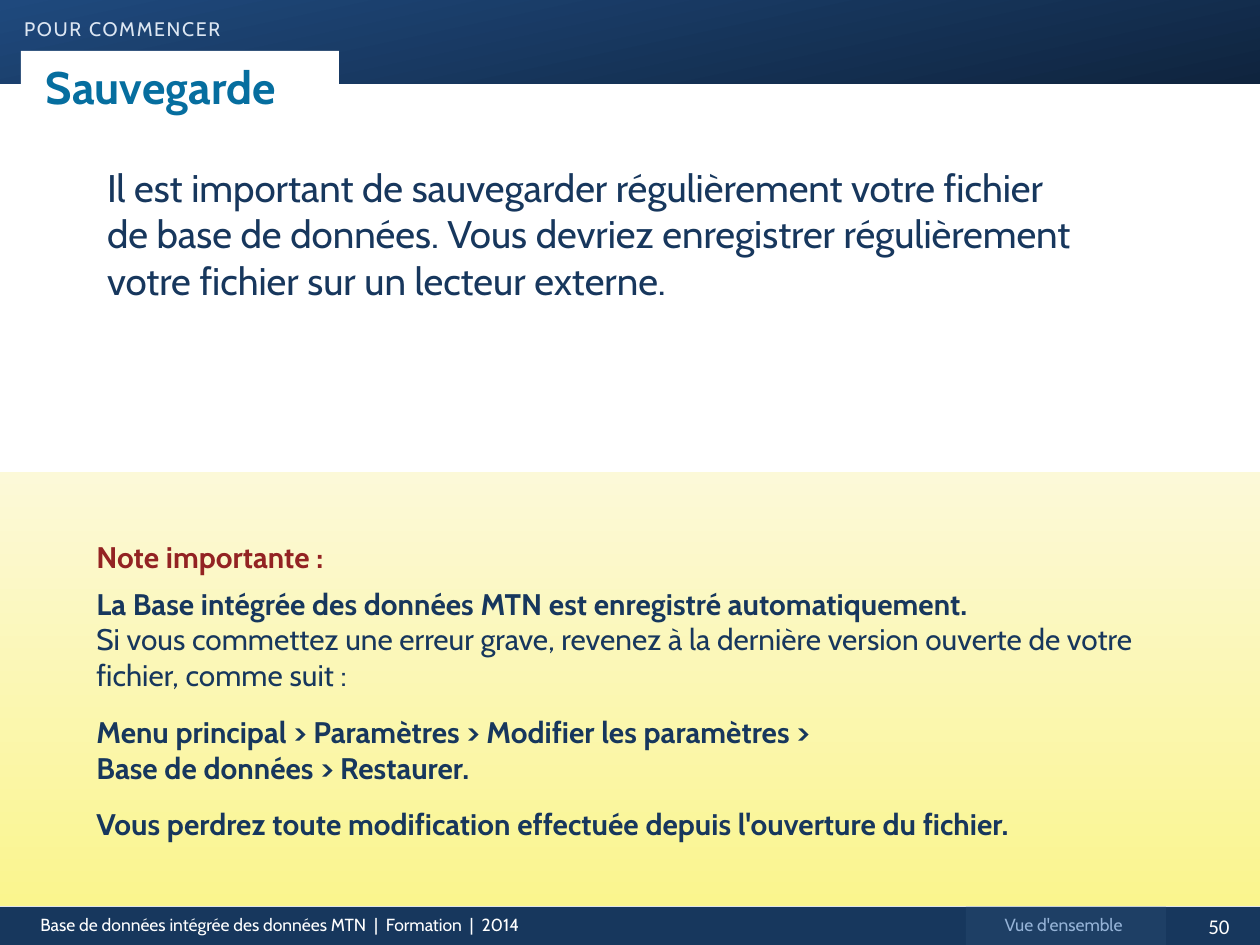
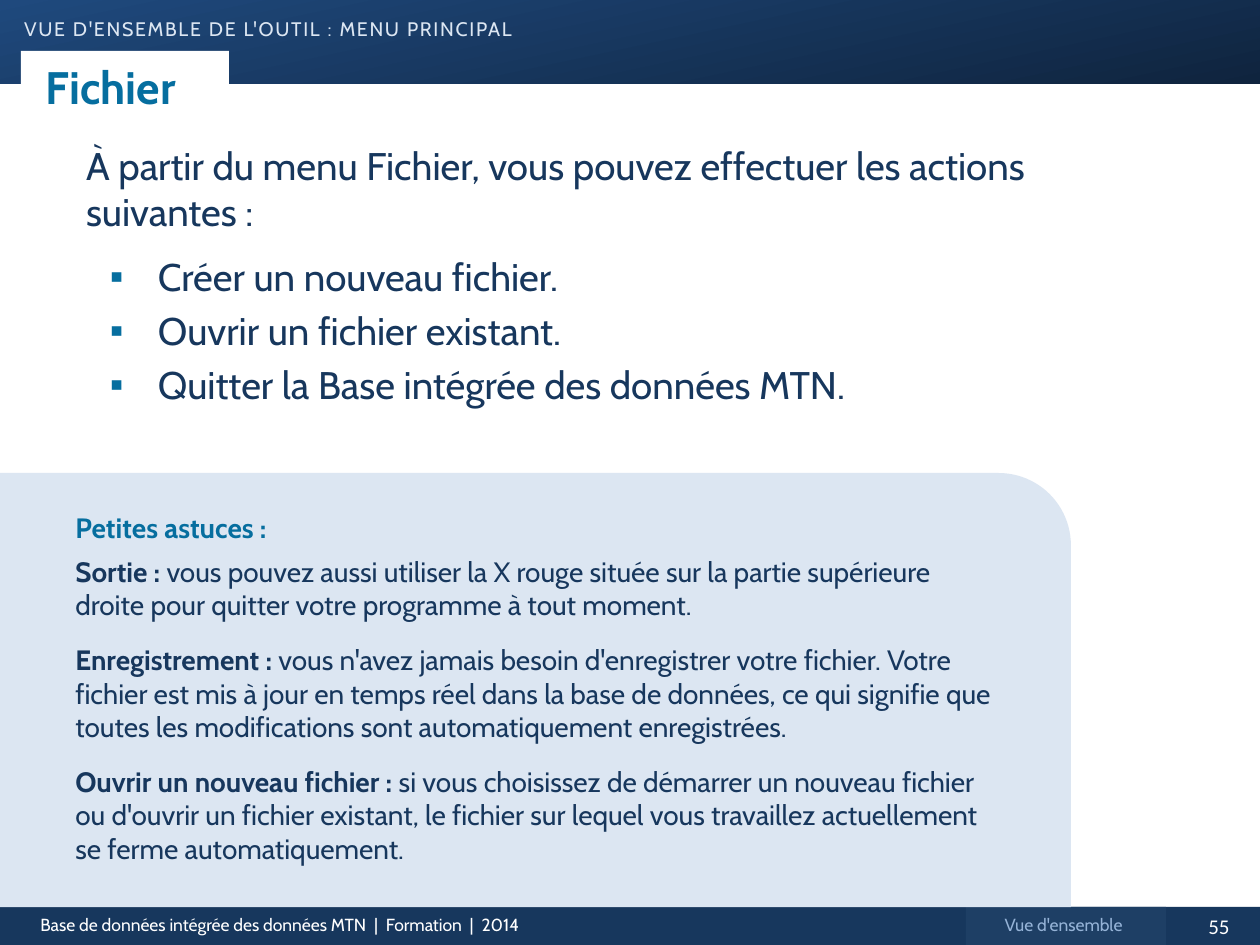
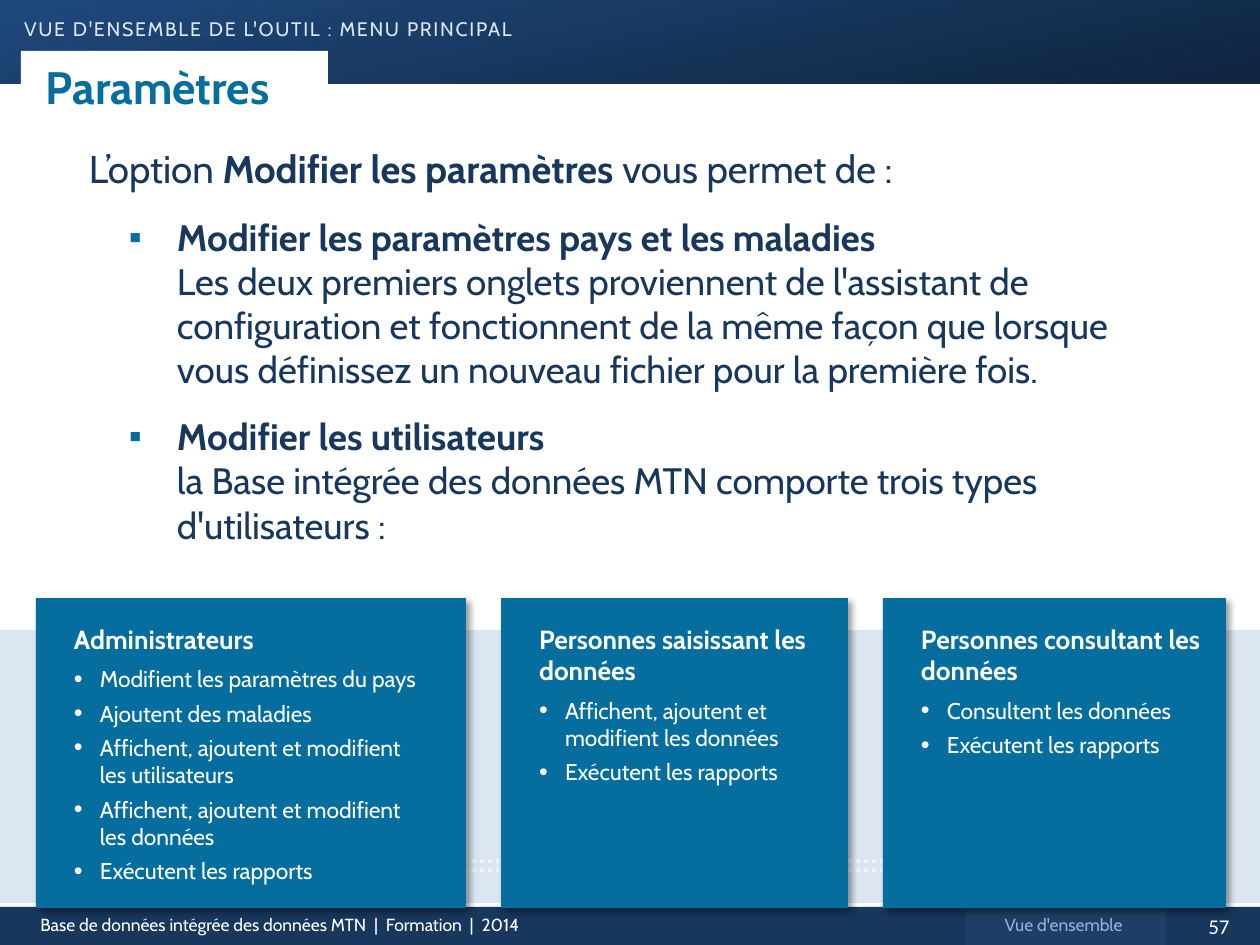
from copy import deepcopy

from lxml import etree
from pptx import Presentation
from pptx.dml.color import RGBColor
from pptx.enum import dml, shapes, text
from pptx.oxml import parse_xml
from pptx.oxml.ns import qn
from pptx.util import Pt

PX = 7257.14  # EMU per px, at 126 px to the inch
FONT = "Cabin"
COLORS = {
    "navy": "17375D", "tab": "1E3F65", "header_light": "1F497D",
    "header_dark": "0F243E", "teal": "066E9F", "ice": "DCE6F2",
    "sky": "95B3D7", "red": "932323", "yellow": "FAF58E",
    "cream": "FCF9D8", "dots": "F2F2F2", "white": "FFFFFF",
}
RECT = shapes.MSO_SHAPE.RECTANGLE
CARD_SHADOW = (
    '<a:effectLst xmlns:a="http://schemas.openxmlformats.org/drawingml/2006/main">'
    '<a:outerShdw blurRad="50800" dist="38100" dir="2700000" algn="tl" rotWithShape="0">'
    '<a:srgbClr val="000000"><a:alpha val="40000"/></a:srgbClr>'
    '</a:outerShdw></a:effectLst>'
)


def add_block(slide, box, fill, gradient_to=None, angle=0, kind=RECT):
    """Add a borderless panel, plain or with a two-colour gradient."""
    block = slide.shapes.add_shape(kind, *(round(v * PX) for v in box))
    block.shadow.inherit = False
    block.line.fill.background()
    if gradient_to:
        block.fill.gradient()
        block.fill.gradient_angle = angle
        for stop, color in zip(block.fill.gradient_stops, (fill, gradient_to)):
            stop.color.rgb = RGBColor.from_string(COLORS[color])
    else:
        block.fill.solid()
        block.fill.fore_color.rgb = RGBColor.from_string(COLORS[fill])
    return block


def add_line(frame, line, size, color="navy", after=0, left=0, hang=0, bullet=None,
             bullet_color=None, bullet_size=100, font=FONT, align=text.PP_ALIGN.LEFT):
    """Append a paragraph; *stars* enclose bold words, \\v breaks the line."""
    paragraph = frame.add_paragraph() if frame.text else frame.paragraphs[0]
    paragraph.alignment = align
    paragraph.space_after = Pt(after)
    for i, part in enumerate(line.split("*")):
        for j, piece in enumerate(part.split("\v")):
            if j:
                paragraph.add_line_break()
                paragraph._p[-1].append(deepcopy(paragraph.runs[-1]._r.rPr))
            if piece:
                run = paragraph.add_run()
                run.text = piece
                run.font.size, run.font.name, run.font.bold = Pt(size), font, i % 2 == 1
                run.font.color.rgb = RGBColor.from_string(COLORS[color])
    props = paragraph._p.get_or_add_pPr()
    props.set("marL", str(round(left * PX)))
    props.set("indent", str(round(-hang * PX)))
    if bullet:
        tint = etree.SubElement(props, qn("a:buClr"))
        etree.SubElement(tint, qn("a:srgbClr")).set("val", COLORS[bullet_color or color])
        etree.SubElement(props, qn("a:buSzPct")).set("val", str(bullet_size * 1000))
        etree.SubElement(props, qn("a:buFont")).set("typeface", "Arial")
        etree.SubElement(props, qn("a:buChar")).set("char", bullet)
    else:
        etree.SubElement(props, qn("a:buNone"))
    return paragraph


prs = Presentation()
prs.slide_width, prs.slide_height = round(1260 * PX), round(945 * PX)

# Header, title tab, footer and body area of every slide
TOOL_MENU = "vue d'ensemble de l'outil : menu principal"
pages = [
    ("50", "pour commencer", "Sauvegarde", 318, (94, 158, 1008, 199)),
    ("55", TOOL_MENU, "Fichier", 208, (73, 136, 1081, 330)),
    ("57", TOOL_MENU, "Paramètres", 307, (76, 139, 1080, 440)),
]
center = text.PP_ALIGN.CENTER
slides, bodies = [], []
for number, section, heading, heading_width, body_box in pages:
    slide = prs.slides.add_slide(prs.slide_layouts[3])
    add_block(slide, (0, 0, 1260, 84), "header_light", "header_dark", 282)
    add_block(slide, (0, 907, 1260, 38), "navy")
    add_block(slide, (966, 907, 200, 38), "tab")
    footer = [
        ((28, 908, 571, 34), "Base de données intégrée des données MTN  |  Formation  |  2014",
         10, "white", FONT, text.PP_ALIGN.LEFT),
        ((966, 908, 195, 34), "Vue d'ensemble", 10, "sky", FONT, center),
        ((1178, 907, 82, 38), number, 12, "white", "Calibri", center),
    ]
    for box, words, size, color, font, align in footer:
        label = slide.shapes.add_textbox(*(round(v * PX) for v in box))
        label.text_frame.word_wrap = True
        add_line(label.text_frame, words, size, color, font=font, align=align)

    title, body, kicker = slide.placeholders
    placements = [
        (kicker, (24, 6, 1000, 43), 0),
        (body, body_box, 13),
        (title, (21, 51, heading_width, 71), 25),
    ]
    for holder, box, inset in placements:
        slide.shapes._spTree.append(holder._element)
        holder.left, holder.top, holder.width, holder.height = (round(v * PX) for v in box)
        frame = holder.text_frame
        frame.word_wrap = True
        frame.auto_size = text.MSO_AUTO_SIZE.NONE
        frame.margin_left = frame.margin_right = round(inset * PX)
        frame.vertical_anchor = text.MSO_ANCHOR.TOP

    section_line = add_line(kicker.text_frame, section, 14, "ice")
    section_props = section_line.runs[0]._r.get_or_add_rPr()
    section_props.set("cap", "small")
    section_props.set("spc", "100")
    title.fill.solid()
    title.fill.fore_color.rgb = RGBColor.from_string(COLORS["white"])
    title.text_frame.vertical_anchor = text.MSO_ANCHOR.MIDDLE
    add_line(title.text_frame, f"*{heading}*", 26, "teal")
    slides.append(slide)
    bodies.append(body.text_frame)

backup, file_menu, settings = slides
backup_text, file_text, settings_text = bodies

# Body text
add_line(backup_text, "Il est important de sauvegarder régulièrement votre fichier de base de "
         "données. Vous devriez enregistrer régulièrement votre fichier sur un lecteur externe.",
         22, after=6)

add_line(file_text, "À partir du menu Fichier, vous pouvez effectuer les actions suivantes :",
         22, after=6)
for action in ("Créer un nouveau fichier.", "Ouvrir un fichier existant.",
               "Quitter la Base intégrée des données MTN."):
    add_line(file_text, action, 22, left=72, hang=48, bullet="▪", bullet_color="teal")

add_line(settings_text, "L’option *Modifier les paramètres *vous permet de :", 22, after=9)
for option in (
    "*Modifier les paramètres pays et les maladies\v*Les deux premiers onglets proviennent de "
    "l'assistant de configuration et fonctionnent de la même façon que lorsque vous définissez "
    "un nouveau fichier pour la première fois.",
    "*Modifier les utilisateurs \v*la Base intégrée des données MTN comporte trois types "
    "d'utilisateurs :",
):
    add_line(settings_text, option, 21, after=9, left=88, hang=48,
             bullet="▪", bullet_color="teal")

# Note and tips panels
add_block(backup, (0, 472, 1260, 434), "yellow", "cream", 90)
add_block(file_menu, (0, 473, 1071, 434), "ice", kind=shapes.MSO_SHAPE.ROUND_1_RECTANGLE)
panels = [
    (backup, (84, 533, 1092, 318), 17, "red", "Note importante :", [
        "*La Base intégrée des données MTN est enregistré automatiquement. \v*Si vous commettez "
        "une erreur grave, revenez à la dernière version ouverte de votre fichier, "
        "comme suit :",
        "*Menu principal > Paramètres > Modifier les paramètres > \v"
        "Base de données > Restaurer.*",
        "*Vous perdrez toute modification effectuée depuis l'ouverture du fichier.*",
    ]),
    (file_menu, (63, 504, 945, 400), 16, "teal", "Petites astuces :", [
        "*Sortie : *vous pouvez aussi utiliser la X rouge située sur la partie supérieure "
        "droite pour quitter votre programme à tout moment.",
        "*Enregistrement : *vous n'avez jamais besoin d'enregistrer votre fichier. Votre "
        "fichier est mis à jour en temps réel dans la base de données, ce qui signifie que "
        "toutes les modifications sont automatiquement enregistrées.",
        "*Ouvrir un nouveau fichier : *si vous choisissez de démarrer un nouveau fichier ou "
        "d'ouvrir un fichier existant, le fichier sur lequel vous travaillez actuellement se "
        "ferme automatiquement.",
    ]),
]
for slide, box, size, color, heading, notes in panels:
    panel = slide.shapes.add_textbox(*(round(v * PX) for v in box)).text_frame
    panel.word_wrap = True
    add_line(panel, f"*{heading}*", size, color, after=6)
    for note in notes:
        add_line(panel, note, size, after=12)

# User type cards
add_block(settings, (0, 630, 1260, 273), "ice")
for y in (870, 861):
    dots = settings.shapes.add_connector(
        shapes.MSO_CONNECTOR.STRAIGHT, *(round(v * PX) for v in (88, y, 1128, y)))
    dots.line.color.rgb = RGBColor.from_string(COLORS["dots"])
    dots.line.width = Pt(2.25)
    dots.line.dash_style = dml.MSO_LINE.ROUND_DOT
    etree.SubElement(dots._element.spPr, qn("a:effectLst"))

user_types = [
    (430, "Administrateurs", [
        "Modifient les paramètres du pays", "Ajoutent des maladies",
        "Affichent, ajoutent et modifient \vles utilisateurs",
        "Affichent, ajoutent et modifient \vles données", "Exécutent les rapports"]),
    (347, "Personnes saisissant les données", [
        "Affichent, ajoutent et modifient les données", "Exécutent les rapports"]),
    (343, "Personnes consultant les données", [
        "Consultent les données", "Exécutent les rapports"]),
]
card_left, card_gap = 36, 35
for width, user_type, rights in user_types:
    card = add_block(settings, (card_left, 598, width, 310), "teal")
    properties = card._element.spPr
    properties.replace(properties.find(qn("a:effectLst")), parse_xml(CARD_SHADOW))
    frame = card.text_frame
    frame.word_wrap = True
    frame.vertical_anchor = text.MSO_ANCHOR.TOP
    frame.margin_left, frame.margin_top, frame.margin_right, frame.margin_bottom = (
        round(v * PX) for v in (38, 25, 25, 0))
    add_line(frame, f"*{user_type}*", 15, "white", after=6)
    for right in rights:
        add_line(frame, right, 13, "white", after=4, left=26, hang=26,
                 bullet="•", bullet_size=110)
    card_left += width + card_gap

prs.save("out.pptx")
